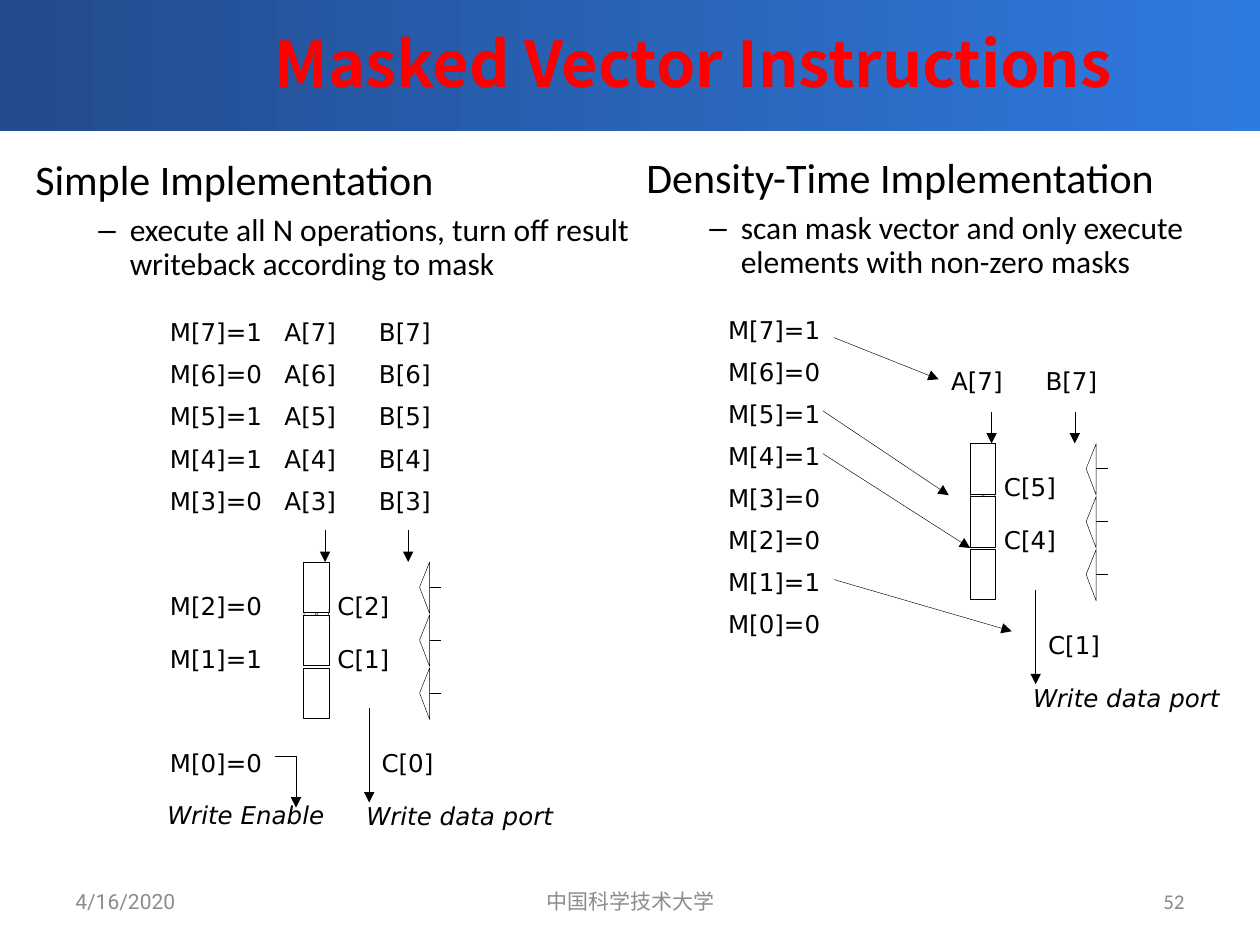
from dataclasses import dataclass

from lxml import etree
from pptx import Presentation
from pptx.dml.color import RGBColor
from pptx.enum.shapes import MSO_CONNECTOR, MSO_SHAPE
from pptx.enum.text import MSO_ANCHOR, MSO_AUTO_SIZE, PP_ALIGN
from pptx.oxml.ns import qn
from pptx.util import Inches, Pt

LEFT, CENTER, RIGHT = PP_ALIGN.LEFT, PP_ALIGN.CENTER, PP_ALIGN.RIGHT
MIDDLE = MSO_ANCHOR.MIDDLE
FIT, FIXED = MSO_AUTO_SIZE.SHAPE_TO_FIT_TEXT, MSO_AUTO_SIZE.NONE
RECTANGLE, STRAIGHT = MSO_SHAPE.RECTANGLE, MSO_CONNECTOR.STRAIGHT
TWO_CONTENT = 3
ROW = 0.334
STAGE = 0.42


@dataclass(frozen=True)
class Theme:
    ink: str = "000000"
    paper: str = "FFFFFF"
    title: str = "FF0000"
    band_start: str = "234B8D"
    band_end: str = "2F7ADF"
    footer: str = "8C8C8C"
    number: str = "898989"
    title_font: str = "Noto Sans CJK SC"
    body_font: str = "Calibri"
    label_font: str = "DejaVu Sans"
    footer_font: str = "Roboto"
    title_size: int = 36
    heading_size: int = 24
    point_size: int = 18
    label_size: int = 14
    footer_size: int = 12
    line_width: float = 0.25


THEME = Theme()


@dataclass(frozen=True)
class Box:
    left: float
    top: float
    width: float
    height: float

    def inner(self, x, y, width, height):
        return Box(self.left + x, self.top + y, width, height)

    def point(self, x, y):
        return Inches(self.left + x), Inches(self.top + y)

    def lengths(self):
        return [Inches(v) for v in (self.left, self.top, self.width, self.height)]


def rgb(value):
    return RGBColor.from_string(value)


def write(para, text, *, size, font, color=THEME.ink, bold=False, italic=False, align=LEFT):
    para.alignment = align
    span = para.add_run()
    span.text = text
    span.font.size, span.font.name = Pt(size), font
    span.font.bold, span.font.italic = bold, italic
    span.font.color.rgb = rgb(color)


def add_text(shapes, box, text, *, wrap=True, **style):
    frame = shapes.add_textbox(*box.lengths()).text_frame
    frame.word_wrap = wrap
    frame.auto_size = FIXED if wrap else FIT
    frame.vertical_anchor = MIDDLE
    write(frame.paragraphs[0], text, **style)


def add_label(shapes, box, x, y, text, width=0.64, italic=False):
    add_text(shapes, box.inner(x, y, width, 0.33), text, wrap=False,
             size=THEME.label_size, font=THEME.label_font, italic=italic)


def outline(shape, arrow=False):
    shape.line.color.rgb = rgb(THEME.ink)
    shape.line.width = Pt(THEME.line_width)
    if arrow:
        line = shape._element.spPr.find(qn("a:ln"))
        etree.SubElement(line, qn("a:tailEnd"), type="triangle")


def add_line(shapes, box, start, end, arrow=True):
    line = shapes.add_connector(STRAIGHT, *box.point(*start), *box.point(*end))
    outline(line, arrow)
    etree.SubElement(line._element.spPr, qn("a:effectLst"))


def add_outline(shapes, box, points, closed=True, filled=False, arrow=False):
    """Draw a freeform through points given relative to the box."""
    first, *rest = [box.point(*point) for point in points]
    builder = shapes.build_freeform(*first)
    builder.add_line_segments(rest, close=closed)
    finish(builder.convert_to_shape(), filled, arrow)


def finish(shape, filled=True, arrow=False):
    shape.shadow.inherit = False
    if filled:
        shape.fill.solid()
        shape.fill.fore_color.rgb = rgb(THEME.paper)
    else:
        shape.fill.background()
    outline(shape, arrow)


def place(shape, box):
    shape.left, shape.top, shape.width, shape.height = box.lengths()
    shape.text_frame.vertical_anchor = MIDDLE
    shape.text_frame.auto_size = FIXED


def add_header(page, box, text):
    band = page.shapes.add_shape(RECTANGLE, *box.lengths())
    band.shadow.inherit = False
    band.line.fill.background()
    band.fill.gradient()
    band.fill.gradient_angle = 0
    for stop, color in zip(band.fill.gradient_stops, (THEME.band_start, THEME.band_end)):
        stop.color.rgb = rgb(color)
    page.shapes._spTree.insert(2, band._element)  # behind the title

    title = page.shapes.title
    place(title, box.inner(1, 0.03, 9, 0.99))
    write(title.text_frame.paragraphs[0], text, size=THEME.title_size,
          font=THEME.title_font, color=THEME.title, bold=True, align=CENTER)


def add_list(placeholder, box, heading, point):
    place(placeholder, box)
    frame = placeholder.text_frame
    rows = ((heading, THEME.heading_size, 0.31, 0.31, None),
            (point, THEME.point_size, 0.75, 0.25, "–"))
    for level, (text, size, margin, hang, bullet) in enumerate(rows):
        para = frame.add_paragraph() if level else frame.paragraphs[0]
        para.level = level
        para.line_spacing = 0.9
        para.space_before = Pt(0.3 * size)
        write(para, text, size=size, font=THEME.body_font)
        props = para._p.get_or_add_pPr()
        props.set("marL", str(Inches(margin)))
        props.set("indent", str(-Inches(hang)))
        if bullet:
            etree.SubElement(props, qn("a:buChar"), char=bullet)
        else:
            etree.SubElement(props, qn("a:buNone"))


def add_pipeline(shapes, box, results):
    """Draw the three-stage unit with its inputs, results and write port."""
    add_outline(shapes, box, [(0, 0.38), (0.05, 0.78), (0.16, 0.78), (0.2, 0.38),
                              (0.12, 0.38), (0.1, 0.44), (0.09, 0.38)])
    for stage in range(3):
        y = stage * STAGE
        finish(shapes.add_shape(RECTANGLE, *box.inner(0, y, 0.2, 0.4).lengths()))
        add_outline(shapes, box, [(1, y + 0.41), (0.92, y + 0.2), (1, y)], filled=True)
        add_line(shapes, box, (1, y + 0.2), (1.09, y + 0.2), arrow=False)
    for x in (0.17, 0.83):
        add_line(shapes, box, (x, -0.25), (x, 0))
    add_line(shapes, box, (0.52, 1.16), (0.52, 1.91))
    for text, x, y in zip(results, (0.17, 0.17, 0.52), (0.18, 0.18 + STAGE, 1.43)):
        add_label(shapes, box, x, y, text)
    add_label(shapes, box, 0.4, 1.85, "Write data port", width=1.69, italic=True)


def add_simple(shapes, box):
    mask_rows = [row * ROW for row in range(5)] + [2.17, 2.59, 3.42]
    for index, bit, y in zip(range(7, -1, -1), "10110010", mask_rows):
        add_label(shapes, box, 0.02, y, f"M[{index}]={bit}", width=0.95)
        if index > 2:
            add_label(shapes, box, 0.93, y, f"A[{index}]")
            add_label(shapes, box, 1.68, y, f"B[{index}]")
    add_pipeline(shapes, box.inner(1.18, 1.99, 1.09, 1.91), ("C[2]", "C[1]", "C[0]"))
    add_outline(shapes, box, [(0.95, 3.53), (1.12, 3.53), (1.12, 3.94)],
                closed=False, arrow=True)
    add_label(shapes, box, 0, 3.83, "Write Enable", width=1.46, italic=True)


def add_density(shapes, box):
    for row, bit in enumerate("10110010"):
        add_label(shapes, box, 0, row * ROW, f"M[{7 - row}]={bit}", width=0.95)
    for x, text in ((1.77, "A[7]"), (2.52, "B[7]")):
        add_label(shapes, box, x, 0.41, text)
    add_pipeline(shapes, box.inner(2.02, 1.07, 1.09, 1.91), ("C[5]", "C[4]", "C[1]"))
    for start, end in (((0.94, 0.23), (1.77, 0.56)), ((0.85, 0.81), (1.85, 1.48)),
                       ((0.85, 1.15), (2.02, 1.9)), ((0.94, 2.15), (2.35, 2.56))):
        add_line(shapes, box, start, end)


def add_footer(shapes, box):
    cells = (("4/16/2020", 0, 2.33, LEFT, THEME.footer_font, THEME.footer),
             ("中国科学技术大学", 2.92, 3.17, CENTER, THEME.footer_font, THEME.footer),
             ("52", 6.67, 2.33, RIGHT, THEME.body_font, THEME.number))
    for text, x, width, align, font, color in cells:
        add_text(shapes, box.inner(x, 0, width, box.height), text,
                 size=THEME.footer_size, font=font, color=color, align=align)


def main():
    deck = Presentation()
    deck.slide_width, deck.slide_height = Inches(10), Inches(7.5)
    page = deck.slides.add_slide(deck.slide_layouts[TWO_CONTENT])
    add_header(page, Box(0, -0.03, 10, 1.07), "Masked Vector Instructions")
    add_list(page.placeholders[1], Box(0.18, 1.2, 5.42, 1.11), "Simple Implementation",
             "execute all N operations, turn off result writeback according to mask")
    add_list(page.placeholders[2], Box(5.03, 1.18, 5.17, 1.11), "Density-Time Implementation",
             "scan mask vector and only execute elements with non-zero masks")
    add_density(page.shapes.add_group_shape().shapes, Box(5.68, 2.45, 4.11, 3.24))
    add_simple(page.shapes.add_group_shape().shapes, Box(1.23, 2.47, 3.27, 4.17))
    add_footer(page.shapes, Box(0.5, 6.95, 9, 0.4))
    deck.save("out.pptx")


if __name__ == "__main__":
    main()
